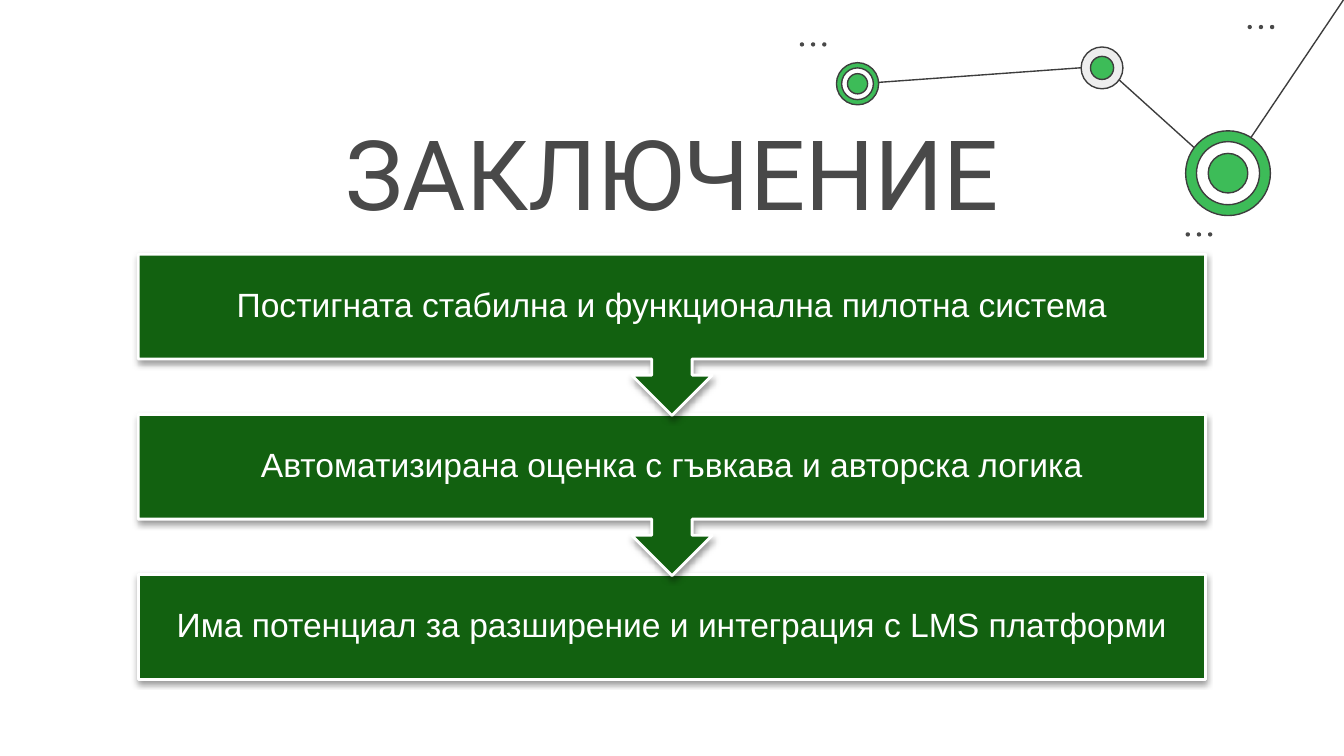
from lxml import etree
from pptx import Presentation
from pptx.dml.color import RGBColor
from pptx.enum.shapes import MSO_CONNECTOR as Link, MSO_SHAPE as Shape
from pptx.enum.text import MSO_ANCHOR as Anchor, MSO_AUTO_SIZE as Fit, PP_ALIGN as Align
from pptx.oxml.ns import qn
from pptx.util import Pt

# Content
TITLE = "ЗАКЛЮЧЕНИЕ"
STEPS = [
    "Постигната стабилна и функционална пилотна система",
    "Автоматизирана оценка с гъвкава и авторска логика",
    "Има потенциал за разширение и интеграция с LMS платформи",
]
HEX = {"ink": "3D3D3D", "gray": "494949", "lime": "3DBC58", "pale": "EEEEEE",
       "white": "FFFFFF", "green": "126110", "black": "000000"}

# Decor: lines, rings as (centre, [(diameter, colour)]), first dot of each trio
LINES = [(590.4, 35.5, 458.8, 45), (656.5, 94.2, 592, 36), (720, -0.5, 657.2, 93)]
RINGS = [
    ((657.9, 92.8), [(45.4, "lime"), (33.8, "white"), (21.2, "lime")]),
    ((590.4, 36.4), [(22.4, "pale"), (12.4, "lime")]),
    ((459.4, 44.9), [(22.6, "lime"), (17, "white"), (10.8, "lime")]),
]
DOTS = [(429.6, 23.8), (669.5, 14.5), (636.3, 125.6)]
DOT, GAP = 2.3, 6

# Step grid
LEFT, TOP, WIDTH = 74.1, 136.2, 571.8
BOX, CALL, PITCH = 56.2, 86.4, 85.8


def color(name):
    return RGBColor.from_string(HEX[name])


def effects(item):
    return etree.SubElement(item._element.spPr, qn("a:effectLst"))


def paint(item, fill, line=None, wide=0.75):
    item.fill.solid()
    item.fill.fore_color.rgb = color(fill)
    if line:
        item.line.color.rgb = color(line)
        item.line.width = Pt(wide)
    else:
        item.line.fill.background()


def disc(x, y, size, fill, line=None):
    item = shapes.add_shape(Shape.OVAL, Pt(x - size / 2), Pt(y - size / 2),
                            Pt(size), Pt(size))
    item.shadow.inherit = False
    paint(item, fill, line)


def shade(item):
    drop = etree.SubElement(effects(item), qn("a:outerShdw"), blurRad=str(Pt(3.1)),
                            dist=str(Pt(1.6)), dir="5400000", rotWithShape="0")
    tint = etree.SubElement(drop, qn("a:srgbClr"), val=HEX["black"])
    etree.SubElement(tint, qn("a:alpha"), val="38000")


def write(item, text, font, size, ink, inset, anchor):
    frame = item.text_frame
    frame.text = text
    frame.word_wrap = True
    frame.auto_size = Fit.NONE
    frame.vertical_anchor = anchor
    frame.margin_left = frame.margin_right = Pt(inset)
    frame.margin_top = frame.margin_bottom = Pt(inset)
    para = frame.paragraphs[0]
    para.alignment = Align.CENTER
    run = para.runs[0]
    run.font.name, run.font.size = font, Pt(size)
    run.font.color.rgb = color(ink)
    return para


deck = Presentation()
deck.slide_width, deck.slide_height = Pt(720), Pt(405)
slide = deck.slides.add_slide(deck.slide_layouts[5])
shapes = slide.shapes
slide.background.fill.solid()
slide.background.fill.fore_color.rgb = color("white")

# Linked rings and dots
for ends in LINES:
    line = shapes.add_connector(Link.STRAIGHT, *map(Pt, ends))
    line.line.color.rgb = color("ink")
    line.line.width = Pt(0.75)
    effects(line)
for (x, y), discs in RINGS:
    for size, fill in discs:
        disc(x, y, size, fill, "ink")
for x, y in DOTS:
    for i in range(3):
        disc(x + i * GAP, y, DOT, "gray")

# Title
title = shapes.title
title.left, title.top, title.width, title.height = map(Pt, (173.4, 69.1, 373.4, 61.2))
write(title, TITLE, "Roboto", 52, "gray", 7.2, Anchor.BOTTOM)

# Steps, last one first so that each arrow lies over the next box
last = len(STEPS) - 1
for i in range(last, -1, -1):
    kind, tall = (Shape.RECTANGLE, BOX) if i == last else (Shape.DOWN_ARROW_CALLOUT, CALL)
    step = shapes.add_shape(kind, Pt(LEFT), Pt(TOP + i * PITCH), Pt(WIDTH), Pt(tall))
    paint(step, "green", "white", 1.5)
    shade(step)
    para = write(step, STEPS[i], "Arial", 18, "white", 10, Anchor.MIDDLE)
    para.line_spacing = 0.9

deck.save("out.pptx")
